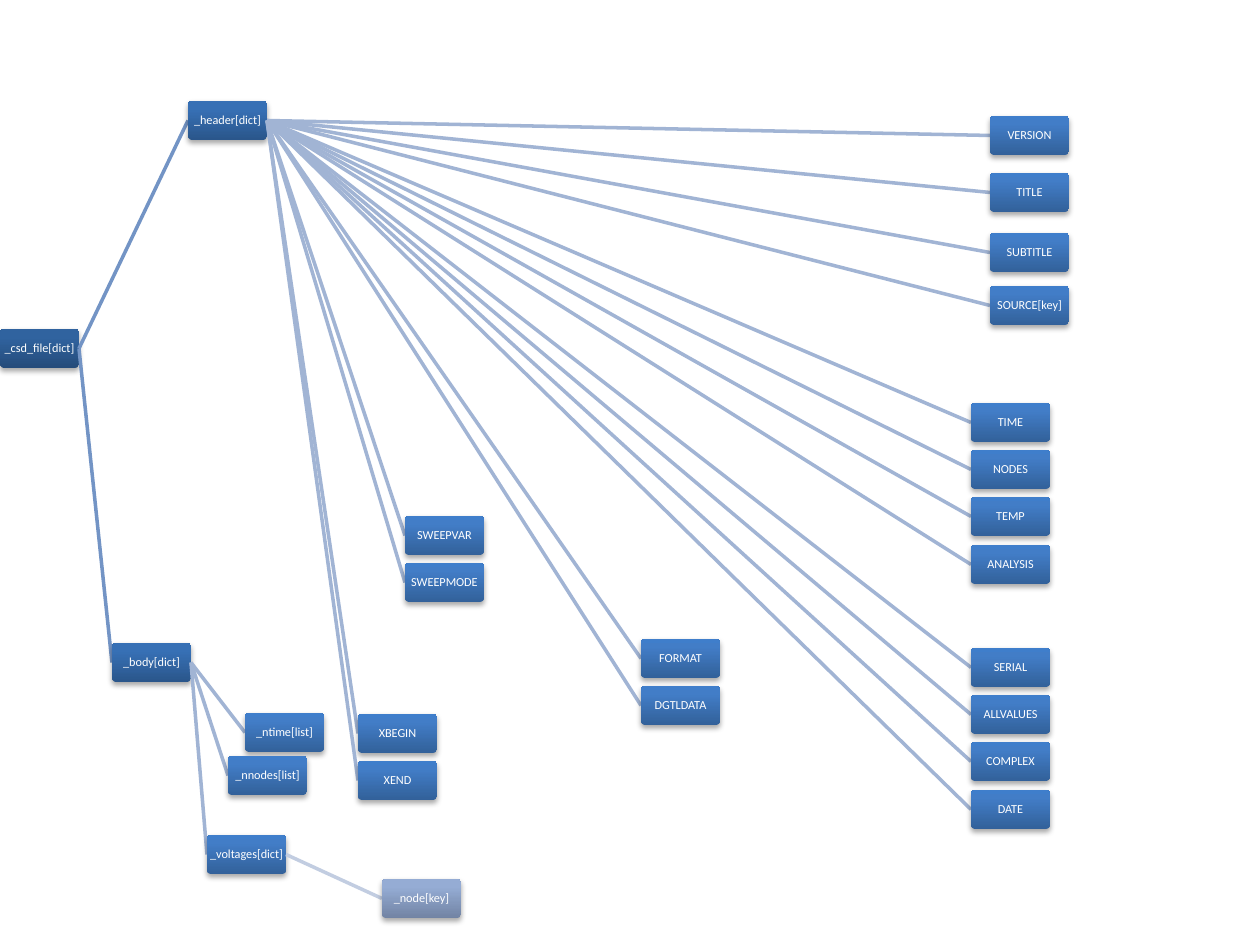
import copy
from dataclasses import dataclass, field

import pptx
import pptx.dml.color
import pptx.enum.shapes
import pptx.enum.text
import pptx.oxml
import pptx.oxml.ns
import pptx.util

SCALE = 914400 / 126  # EMU in one pixel
BOX_W, BOX_H = 79, 39
STEP = 47.25  # pitch of stacked boxes, before rounding
LEFT, RIGHT = 1, 3  # connection sites of a box

HEX = {
    "text": "FFFFFF",
    "root": ("254C7B", "30639F", "2F63A2"),
    "main": ("2A568B", "3770B5", "3570B8"),
    "leaf": ("32619A", "427DC7", "3F7ECB"),
    "key": ("7284A4", "95ACD4", "94ACD7"),
}
LINE = {"main": "7394C5", "leaf": "A1B4D4", "key": "C2CDE1"}
STOPS = (0, 0.8, 1)

SHADOW = (
    '<a:outerShdw %s blurRad="40000" dist="23000" dir="5400000" rotWithShape="0">'
    '<a:srgbClr val="000000"><a:alpha val="35000"/></a:srgbClr></a:outerShdw>'
    % pptx.oxml.ns.nsdecls("a")
)
NO_FX = "<a:effectLst %s/>" % pptx.oxml.ns.nsdecls("a")


@dataclass
class Node:
    name: str
    x: int
    y: int
    rank: str = "leaf"
    kids: list["Node"] = field(default_factory=list)

    @property
    def mid(self) -> float:
        return self.y + BOX_H / 2


def px(n: float) -> int:
    return pptx.util.Emu(round(n * SCALE))


def rgb(code: str) -> pptx.dml.color.RGBColor:
    return pptx.dml.color.RGBColor.from_string(code)


def stack(x: int, y: int, *names: str) -> list[Node]:
    return [Node(name, x, y + round(i * STEP)) for i, name in enumerate(names)]


def shade(box, codes: tuple[str, str, str]) -> None:
    """Fill a box with a vertical three-stop gradient and a soft shadow."""
    box.fill.gradient()
    box.fill.gradient_angle = 90
    first = box._element.spPr.find(".//" + pptx.oxml.ns.qn("a:gs"))
    first.addnext(copy.deepcopy(first))
    for stop, code, spot in zip(box.fill.gradient_stops, codes, STOPS):
        stop.color.rgb = rgb(code)
        stop.position = spot
    box.line.fill.background()
    box.shadow.inherit = False
    effects = box._element.spPr.find(pptx.oxml.ns.qn("a:effectLst"))
    effects.append(pptx.oxml.parse_xml(SHADOW))


def label(box, text: str) -> None:
    frame = box.text_frame
    frame.margin_left = frame.margin_right = 0
    frame.margin_top = frame.margin_bottom = 0
    frame.word_wrap = True
    frame.vertical_anchor = pptx.enum.text.MSO_ANCHOR.MIDDLE
    para = frame.paragraphs[0]
    para.alignment = pptx.enum.text.PP_ALIGN.CENTER
    para.line_spacing = 0.9
    run = para.add_run()
    run.text = text
    run.font.size = pptx.util.Pt(7)
    run.font.name = "Calibri"
    run.font.color.rgb = rgb(HEX["text"])


def link(shapes, start: Node, end: Node):
    """Draw the line from a node to its child."""
    line = shapes.add_connector(
        pptx.enum.shapes.MSO_CONNECTOR.STRAIGHT,
        px(start.x + BOX_W), px(start.mid), px(end.x), px(end.mid))
    line.line.width = pptx.util.Pt(2)
    line.line.color.rgb = rgb(LINE[end.rank])
    line._element.spPr.append(pptx.oxml.parse_xml(NO_FX))
    return line


def block(shapes, node: Node):
    box = shapes.add_shape(
        pptx.enum.shapes.MSO_SHAPE.ROUNDED_RECTANGLE,
        px(node.x), px(node.y), px(BOX_W), px(BOX_H))
    box.adjustments[0] = 0.1
    shade(box, HEX[node.rank])
    label(box, node.name)
    return box


def draw(shapes, node: Node, box) -> None:
    """Draw the lines and boxes of everything below a node."""
    for kid in node.kids:
        line = link(shapes, node, kid)
        child = block(shapes, kid)
        line.begin_connect(box, RIGHT)
        line.end_connect(child, LEFT)
        draw(shapes, kid, child)


# Header branch
header = Node("_header[dict]", 188, 101, "main", [
    Node("SOURCE[key]", 990, 286),
    Node("VERSION", 990, 116),
    Node("TITLE", 990, 173),
    Node("SUBTITLE", 990, 233),
    *stack(971, 403, "TIME", "NODES", "TEMP", "ANALYSIS"),
    *stack(971, 648, "SERIAL", "ALLVALUES", "COMPLEX", "DATE"),
    *stack(405, 516, "SWEEPVAR", "SWEEPMODE"),
    *stack(358, 714, "XBEGIN", "XEND"),
    *stack(641, 639, "FORMAT", "DGTLDATA"),
])

# Body branch
body = Node("_body[dict]", 112, 643, "main", [
    Node("_ntime[list]", 245, 713),
    Node("_nnodes[list]", 228, 756),
    Node("_voltages[dict]", 207, 835, "leaf",
         [Node("_node[key]", 382, 879, "key")]),
])

# Slide
deck = pptx.Presentation()
deck.slide_width, deck.slide_height = px(1260), px(945)
slide = deck.slides.add_slide(deck.slide_layouts[6])
root = Node("_csd_file[dict]", 0, 329, "root", [header, body])
draw(slide.shapes, root, block(slide.shapes, root))
deck.save("out.pptx")
